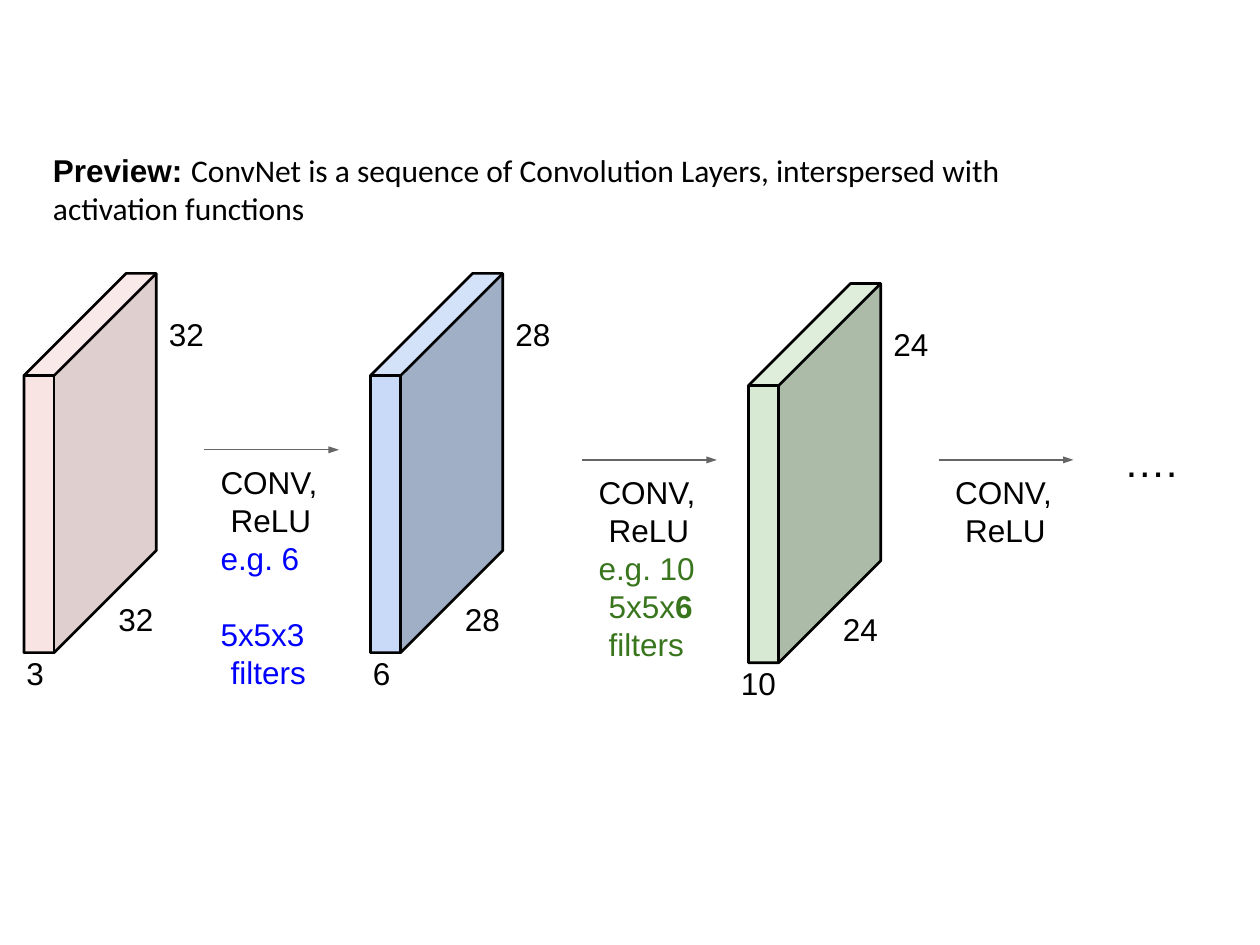
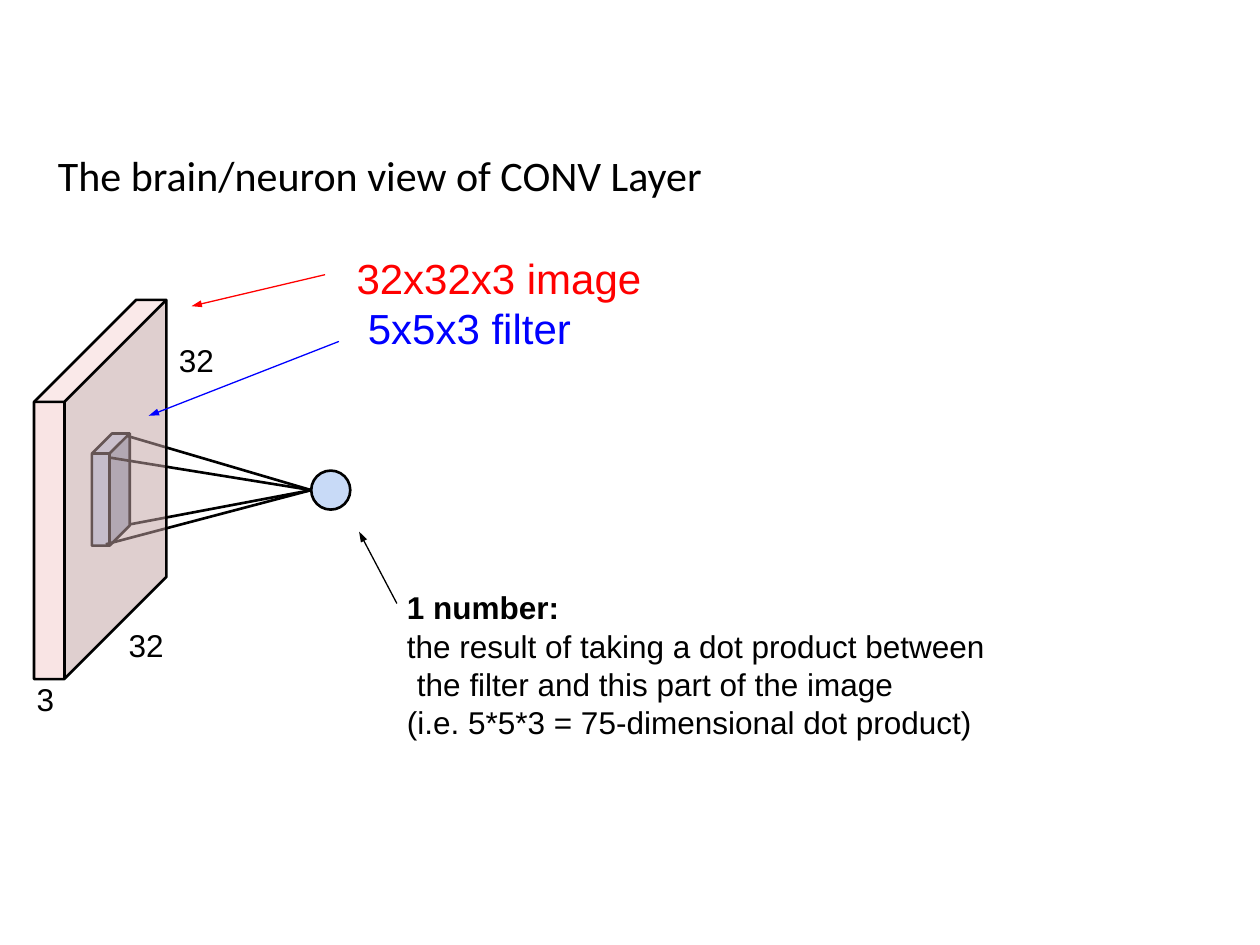
from pptx import Presentation
from pptx.dml.color import RGBColor
from pptx.enum.shapes import MSO_CONNECTOR, MSO_SHAPE
from pptx.enum.text import MSO_ANCHOR
from pptx.oxml.ns import qn
from pptx.util import Inches, Pt
from lxml.etree import SubElement

BLACK, GRAY, RED, BLUE, GREEN = "000000", "666666", "FF0000", "0000FF", "38751C"
PINK_FACES = ("F4CCCC", "C3A3A3", "F6D6D6")
BLUE_FACES = ("C8DAF7", "A0AEC6", "D3E1F9")
GREEN_FACES = ("D8E9D3", "ACBAA8", "DFEDDB")
SLAB_SIZE = (0.24, 2.2, 0.81)
FILTER_SIZE = (0.14, 0.73, 0.16)
EDGE, THIN = 1.5, 0.75
GLASS = 52

BODY = {"name": "Arial", "size": 18, "color": BLACK, "bold": False}
CALIBRI = {"name": "Calibri"}
BOLD = {"bold": True}
BLUE_TEXT, GREEN_TEXT = {"color": BLUE}, {"color": GREEN}
TIGHT = {"line_spacing": 1.01}
STEPPED = {"line_spacing": 1.01, "indent": 0.08}

SEQUENCE_TITLE = [
    ([("Preview: ", BOLD),
      ("ConvNet is a sequence of Convolution Layers, interspersed with activation functions", CALIBRI)], TIGHT),
]
NEURON_TITLE = [([("The brain/neuron view of CONV Layer", {"name": "Calibri", "size": 24})], {})]

VOLUMES = [
    {"left": 0.19, "top": 2.17, "faces": PINK_FACES, "opacity": GLASS, "side": "32", "depth": "3"},
    {"left": 2.94, "top": 2.17, "faces": BLUE_FACES, "side": "28", "depth": "6"},
    {"left": 5.94, "top": 2.25, "faces": GREEN_FACES, "side": "24", "depth": "10"},
]
INPUT_IMAGE = {"left": 0.27, "top": 2.38, "faces": PINK_FACES, "opacity": GLASS, "side": "32", "depth": "3"}

CONV_RELU = [([("CONV,", {})], TIGHT), ([("ReLU", {})], STEPPED)]
SIX_FILTERS = [
    ([("e.g. 6", BLUE_TEXT)], TIGHT),
    ([("5x5x3", BLUE_TEXT)], {"line_spacing": 1.01, "space_before": 21.6}),
    ([("filters", BLUE_TEXT)], STEPPED),
]
TEN_FILTERS = [
    ([("e.g. 10", GREEN_TEXT)], TIGHT),
    ([("5x5x", GREEN_TEXT), ("6", {"color": GREEN, "bold": True})], STEPPED),
    ([("filters", GREEN_TEXT)], STEPPED),
]
STEPS = [(1.62, 3.57, SIX_FILTERS), (4.62, 3.65, TEN_FILTERS), (7.45, 3.65, [])]
STEP_LENGTH = 1.07
ELLIPSIS = [([("….", {"size": 24})], {})]

SIZE_CALLOUTS = [
    ([("32x32x3 image", {"size": 24, "color": RED})], {"line_spacing": Pt(28.5)}),
    ([("5x5x3 filter", {"size": 24, "color": BLUE})], {"line_spacing": Pt(28.5), "indent": 0.09}),
]
DOT_PRODUCT = [
    ([("1 number:", BOLD)], {"line_spacing": Pt(20.9)}),
    ([("the result of taking a dot product between", {})], TIGHT),
    ([("the filter and this part of the image", {})], STEPPED),
    ([("(i.e. 5*5*3 = 75-dimensional dot product)", {})], {}),
]
NEURON_TIP = (2.47, 3.89)
NEURON_DIAMETER = 0.31
RAY_STARTS = [(0.84, 4.32), (0.86, 3.63), (1.01, 3.46), (1.04, 4.16)]
POINTERS = [
    ((2.58, 2.18), (1.52, 2.43), RED),
    ((2.69, 2.71), (1.18, 3.3), BLUE),
    ((3.15, 4.79), (2.85, 4.22), BLACK),
]


def color(value):
    return RGBColor.from_string(value)


def set_fill(shape, value, opacity=100):
    shape.fill.solid()
    shape.fill.fore_color.rgb = color(value)
    if opacity < 100:
        swatch = shape.fill._xPr.find(qn("a:solidFill")).find(qn("a:srgbClr"))
        SubElement(swatch, qn("a:alpha")).set("val", str(opacity * 1000))


def set_line(shape, value, width):
    shape.line.color.rgb = color(value)
    shape.line.width = Pt(width)


def add_text(slide, left, top, width, height, paragraphs, anchor=MSO_ANCHOR.TOP):
    frame = slide.shapes.add_textbox(*map(Inches, (left, top, width, height))).text_frame
    settings = {"word_wrap": True, "vertical_anchor": anchor, "margin_left": 0,
                "margin_right": 0, "margin_top": Inches(0.01), "margin_bottom": 0}
    for name, value in settings.items():
        setattr(frame, name, value)
    for index, (runs, layout) in enumerate(paragraphs):
        paragraph = frame.add_paragraph() if index else frame.paragraphs[0]
        if "indent" in layout:
            paragraph._p.get_or_add_pPr().set("marL", str(Inches(layout["indent"])))
        if "line_spacing" in layout:
            paragraph.line_spacing = layout["line_spacing"]
        paragraph.space_before = Pt(layout.get("space_before", 0))
        for text, changes in runs:
            run = paragraph.add_run()
            run.text = text
            style = {**BODY, **changes}
            run.font.color.rgb = color(style.pop("color"))
            style["size"] = Pt(style["size"])
            for name, value in style.items():
                setattr(run.font, name, value)


def add_label(slide, left, top, text):
    add_text(slide, left, top, 0.31, 0.33, [([(text, {})], {})])


def add_outline(slide, points, close):
    corners = [tuple(map(Inches, point)) for point in points]
    builder = slide.shapes.build_freeform(*corners[0])
    builder.add_line_segments(corners[1:], close=close)
    shape = builder.convert_to_shape()
    shape.shadow.inherit = False
    return shape


def add_line(slide, start, end, value, width, arrow=False):
    connector = slide.shapes.add_connector(
        MSO_CONNECTOR.STRAIGHT, *map(Inches, (*start, *end)))
    set_line(connector, value, width)
    if arrow:
        head = SubElement(connector.line._get_or_add_ln(), qn("a:tailEnd"))
        for name, setting in {"type": "triangle", "w": "sm", "len": "med"}.items():
            head.set(name, setting)
    SubElement(connector._element.spPr, qn("a:effectLst"))


def add_slab(slide, left, top, size, faces, opacity=100):
    thickness, height, depth = size
    fold, right = left + thickness, left + thickness + depth
    shoulder, bottom = top + depth, top + depth + height
    front_left, front_right = (left, shoulder), (fold, shoulder)
    base_left, base_right = (left, bottom), (fold, bottom)
    back_left, back_right = (left + depth, top), (right, top)
    back_base = (right, top + height)
    outlines = [
        (front_left, front_right, base_right, base_left),
        (base_right, front_right, back_right, back_base),
        (front_right, front_left, back_left, back_right),
    ]
    for points, value in zip(outlines, faces):
        face = add_outline(slide, points, True)
        set_fill(face, value, opacity)
        face.line.fill.background()
    silhouette = (front_left, back_left, back_right, back_base, base_right, base_left)
    for points, close in ((silhouette, True), ((front_left, front_right, back_right), False)):
        edge = add_outline(slide, points, close)
        edge.fill.background()
        set_line(edge, BLACK, EDGE)
    add_line(slide, front_right, base_right, BLACK, EDGE)


def add_volume(slide, left, top, faces, side, depth, opacity=100):
    add_slab(slide, left, top, SLAB_SIZE, faces, opacity)
    add_label(slide, left + 0.75, top + 2.58, side)
    add_label(slide, left + 1.15, top + 0.32, side)
    add_label(slide, left + (0.02 if len(depth) == 1 else -0.06), top + 3.01, depth)


def build_sequence(slide):
    add_text(slide, 0.42, 1.18, 8.22, 0.63, SEQUENCE_TITLE, MSO_ANCHOR.MIDDLE)
    for volume in VOLUMES:
        add_volume(slide, **volume)
    for left, top, filters in STEPS:
        add_line(slide, (left, top), (left + STEP_LENGTH, top), GRAY, THIN, arrow=True)
        add_text(slide, left + 0.13, top + 0.09, 0.82, 1.54 if filters else 0.63, CONV_RELU + filters)
    add_text(slide, 8.92, 3.45, 0.45, 0.43, ELLIPSIS)


def build_neuron(slide):
    add_text(slide, 0.46, 1.17, 5.67, 0.43, NEURON_TITLE, MSO_ANCHOR.MIDDLE)
    add_slab(slide, 0.73, 3.44, FILTER_SIZE, BLUE_FACES)
    tip_left, tip_top = NEURON_TIP
    neuron = slide.shapes.add_shape(MSO_SHAPE.OVAL, *map(Inches, (
        tip_left, tip_top - NEURON_DIAMETER / 2, NEURON_DIAMETER, NEURON_DIAMETER)))
    neuron.shadow.inherit = False
    set_fill(neuron, BLUE_FACES[0])
    set_line(neuron, BLACK, EDGE)
    for start in RAY_STARTS:
        add_line(slide, start, NEURON_TIP, BLACK, EDGE)
    add_volume(slide, **INPUT_IMAGE)
    add_text(slide, 2.83, 2.0, 2.4, 0.8, SIZE_CALLOUTS)
    for start, end, value in POINTERS:
        add_line(slide, start, end, value, THIN, arrow=True)
    add_text(slide, 3.23, 4.67, 4.7, 1.21, DOT_PRODUCT)


def main():
    presentation = Presentation()
    presentation.slide_width, presentation.slide_height = Inches(10), Inches(7.5)
    for build in (build_sequence, build_neuron):
        build(presentation.slides.add_slide(presentation.slide_layouts[6]))
    presentation.save("out.pptx")


if __name__ == "__main__":
    main()
